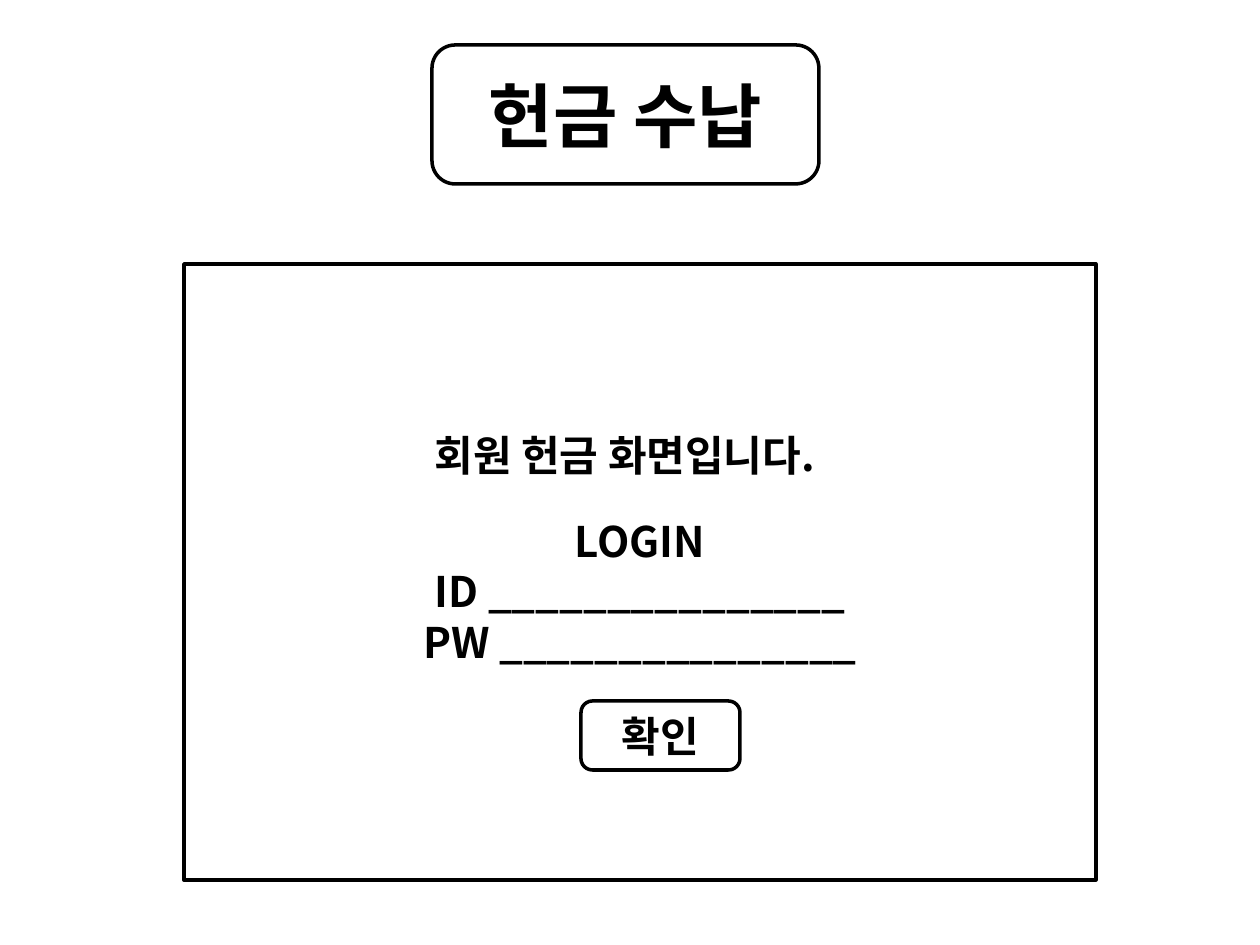
from pptx import Presentation
from pptx.dml.color import RGBColor
from pptx.enum.shapes import MSO_SHAPE
from pptx.enum.text import MSO_ANCHOR, PP_ALIGN
from pptx.util import Emu, Pt

PX = 914400 // 126
FONT = "Noto Sans CJK KR"
COLORS = {"ink": "000000", "paper": "FFFFFF"}
RECTANGLE, ROUNDED = MSO_SHAPE.RECTANGLE, MSO_SHAPE.ROUNDED_RECTANGLE
LEFT, CENTER, MIDDLE = PP_ALIGN.LEFT, PP_ALIGN.CENTER, MSO_ANCHOR.MIDDLE


def add_frame(kind, left, top, width, height):
    frame = page.shapes.add_shape(kind, *[Emu(n * PX) for n in (left, top, width, height)])
    frame.shadow.inherit = False
    frame.fill.background()
    frame.line.color.rgb = RGBColor.from_string(COLORS["ink"])
    frame.line.width = Pt(2)
    return frame


def write(box, lines, size, align=CENTER, wrap=True):
    text = box.text_frame
    text.text = "\n".join(lines)
    text.word_wrap = wrap
    text.vertical_anchor = MIDDLE
    for para in text.paragraphs:
        para.alignment = align
        para.font.name = FONT
        para.font.size = Pt(size)
        para.font.bold = True
        para.font.color.rgb = RGBColor.from_string(COLORS["ink"])


deck = Presentation()
deck.slide_width, deck.slide_height = Emu(1260 * PX), Emu(945 * PX)
page = deck.slides.add_slide(deck.slide_layouts[5])

# Login panel, its lines set a little below the middle
panel = add_frame(RECTANGLE, 184, 264, 912, 616)
panel.fill.solid()
panel.fill.fore_color.rgb = RGBColor.from_string(COLORS["paper"])
blank = "_" * 15
write(panel, ["LOGIN", f"ID {blank}", f"PW {blank}"], 24)
panel.text_frame.margin_top = Emu(44 * PX)

# Greeting
greeting = page.shapes.add_textbox(*[Emu(n * PX) for n in (422, 423, 459, 63)])
write(greeting, ["회원 헌금 화면입니다."], 24, align=LEFT, wrap=False)

# Heading in its rounded frame
heading_area = (432, 45, 387, 139)
add_frame(ROUNDED, *heading_area)
title = page.shapes.title
title.left, title.top, title.width, title.height = [Emu(n * PX) for n in heading_area]
write(title, ["헌금 수납"], 40)

# Confirm button
button = add_frame(ROUNDED, 581, 701, 159, 69)
write(button, ["확인"], 24)

deck.save("out.pptx")
